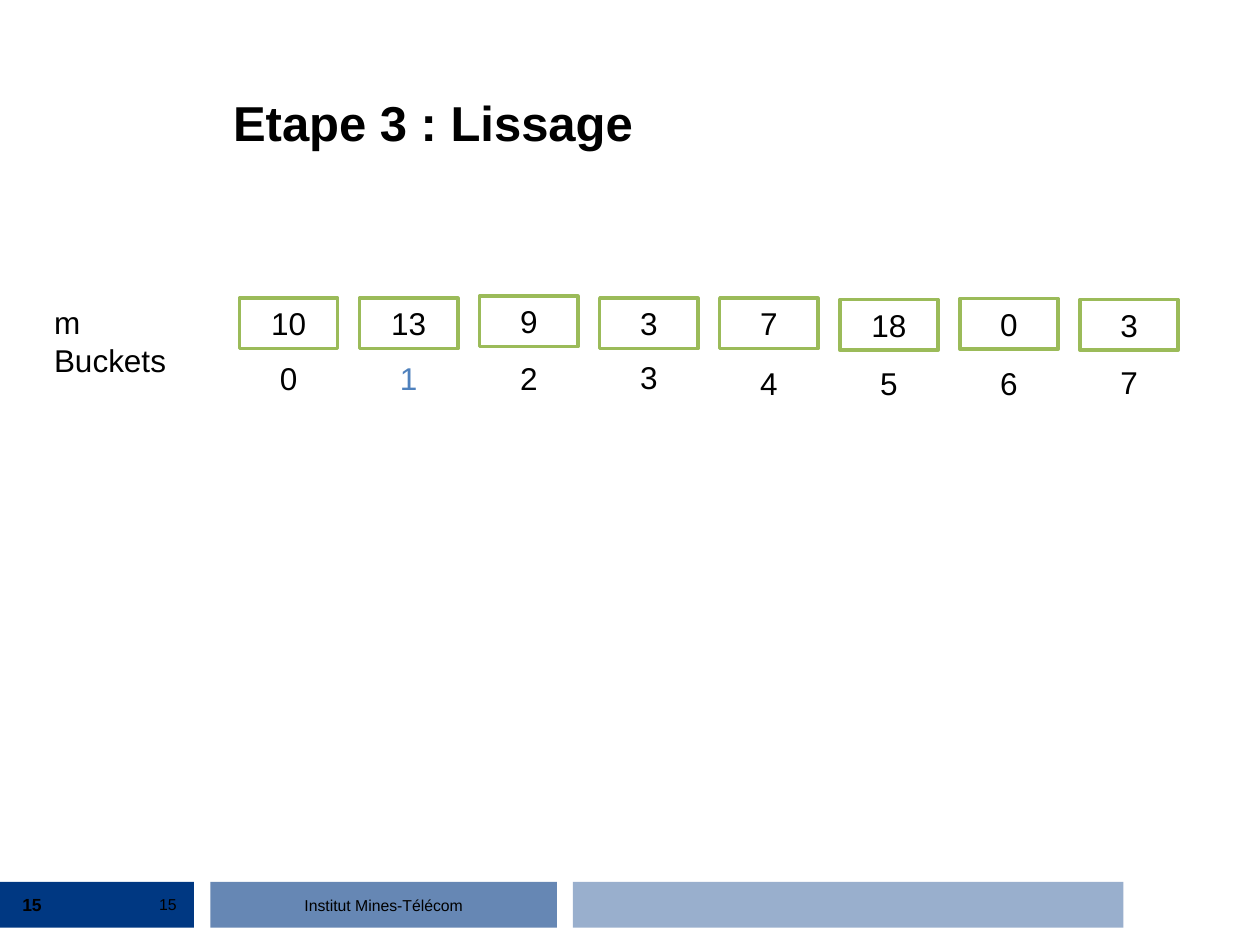
from dataclasses import dataclass

from lxml import etree
from pptx import Presentation
from pptx.dml.color import RGBColor
from pptx.enum.shapes import MSO_SHAPE
from pptx.enum.text import MSO_ANCHOR, PP_ALIGN
from pptx.oxml.ns import qn
from pptx.util import Cm, Pt

RECTANGLE = MSO_SHAPE.RECTANGLE
LEFT, CENTER, RIGHT = PP_ALIGN.LEFT, PP_ALIGN.CENTER, PP_ALIGN.RIGHT
TOP, MIDDLE, BOTTOM = MSO_ANCHOR.TOP, MSO_ANCHOR.MIDDLE, MSO_ANCHOR.BOTTOM


@dataclass(frozen=True)
class Theme:
    font: str = "Arial"
    ink: str = "000000"
    highlight: str = "4F81BD"
    bucket_line: str = "9BBB59"
    footer: str = "003882"
    title_size: int = 28
    body_size: int = 18
    number_size: int = 10
    footer_size: int = 9
    bucket_line_width: int = 2


THEME = Theme()

# All lengths below are in centimetres.
TITLE = "Etape 3 : Lissage"
ROW_LABEL = "m Buckets"
INSTITUTE = "Institut Mines-Télécom"
PAGE = "15"
# Value, bucket top, index top
BUCKETS = [
    ("10", 6.01, 7.11),
    ("13", 6.01, 7.11),
    ("9", 5.97, 7.11),
    ("3", 6.01, 7.09),
    ("7", 6.01, 7.21),
    ("18", 6.04, 7.21),
    ("0", 6.02, 7.21),
    ("3", 6.04, 7.19),
]
HIGHLIGHTED_INDEX = 1
# Left, width, opacity in percent
FOOTER_BARS = [(11.55, 11.1, 40), (0, 3.91, 100), (4.24, 6.99, 60)]
FOOTER_TOP, FOOTER_HEIGHT = 17.78, 0.92

FIRST_BUCKET, BUCKET_PITCH = 4.83, 2.42
BUCKET_WIDTH, INDEX_WIDTH, ROW_HEIGHT = 1.98, 0.86, 1.02


def write(shape, text, size, align=LEFT, anchor=TOP, color=THEME.ink,
          bold=False, wrap=True):
    frame = shape.text_frame
    frame.word_wrap = wrap
    frame.vertical_anchor = anchor
    paragraph = frame.paragraphs[0]
    paragraph.alignment = align
    run = paragraph.add_run()
    run.text = text
    run.font.name = THEME.font
    run.font.size = Pt(size)
    run.font.bold = bold
    run.font.color.rgb = RGBColor.from_string(color)


def add_label(slide, box, text, size, **style):
    write(slide.shapes.add_textbox(*map(Cm, box)), text, size, **style)


def add_rectangle(slide, box):
    rectangle = slide.shapes.add_shape(RECTANGLE, *map(Cm, box))
    rectangle.shadow.inherit = False
    return rectangle


def add_footer_bar(slide, left, width, opacity):
    bar = add_rectangle(slide, (left, FOOTER_TOP, width, FOOTER_HEIGHT))
    bar.fill.solid()
    bar.fill.fore_color.rgb = RGBColor.from_string(THEME.footer)
    bar.line.fill.background()
    if opacity < 100:
        color = bar.fill._xPr.find(qn("a:solidFill")).find(qn("a:srgbClr"))
        etree.SubElement(color, qn("a:alpha")).set("val", str(opacity * 1000))


def add_bucket(slide, index, value, bucket_top, index_top):
    left = FIRST_BUCKET + index * BUCKET_PITCH
    bucket = add_rectangle(slide, (left, bucket_top, BUCKET_WIDTH, ROW_HEIGHT))
    bucket.fill.background()
    bucket.line.color.rgb = RGBColor.from_string(THEME.bucket_line)
    bucket.line.width = Pt(THEME.bucket_line_width)
    write(bucket, value, THEME.body_size, align=CENTER)

    index_left = left + (BUCKET_WIDTH - INDEX_WIDTH) / 2
    color = THEME.highlight if index == HIGHLIGHTED_INDEX else THEME.ink
    add_label(slide, (index_left, index_top, INDEX_WIDTH, ROW_HEIGHT),
              str(index), THEME.body_size, align=CENTER, color=color, wrap=False)


def main():
    deck = Presentation()
    deck.slide_width, deck.slide_height = Cm(25.4), Cm(19.05)
    slide = deck.slides.add_slide(deck.slide_layouts[6])

    for bar in FOOTER_BARS:
        add_footer_bar(slide, *bar)
    add_label(slide, (4.24, 17.93, 6.99, 0.64), INSTITUTE, THEME.footer_size,
              align=CENTER, anchor=MIDDLE)
    add_label(slide, (4.45, 0.64, 19.69, 2.54), TITLE, THEME.title_size,
              anchor=BOTTOM, bold=True)
    add_label(slide, (1.27, 17.88, 2.54, 0.71), PAGE, THEME.footer_size,
              align=RIGHT, anchor=MIDDLE)
    add_label(slide, (0.2, 17.83, 1.07, 0.81), PAGE, THEME.number_size,
              anchor=MIDDLE, bold=True)

    for index, bucket in enumerate(BUCKETS):
        add_bucket(slide, index, *bucket)
    add_label(slide, (0.84, 5.99, 3.45, ROW_HEIGHT), ROW_LABEL,
              THEME.body_size, wrap=False)

    deck.save("out.pptx")


if __name__ == "__main__":
    main()
